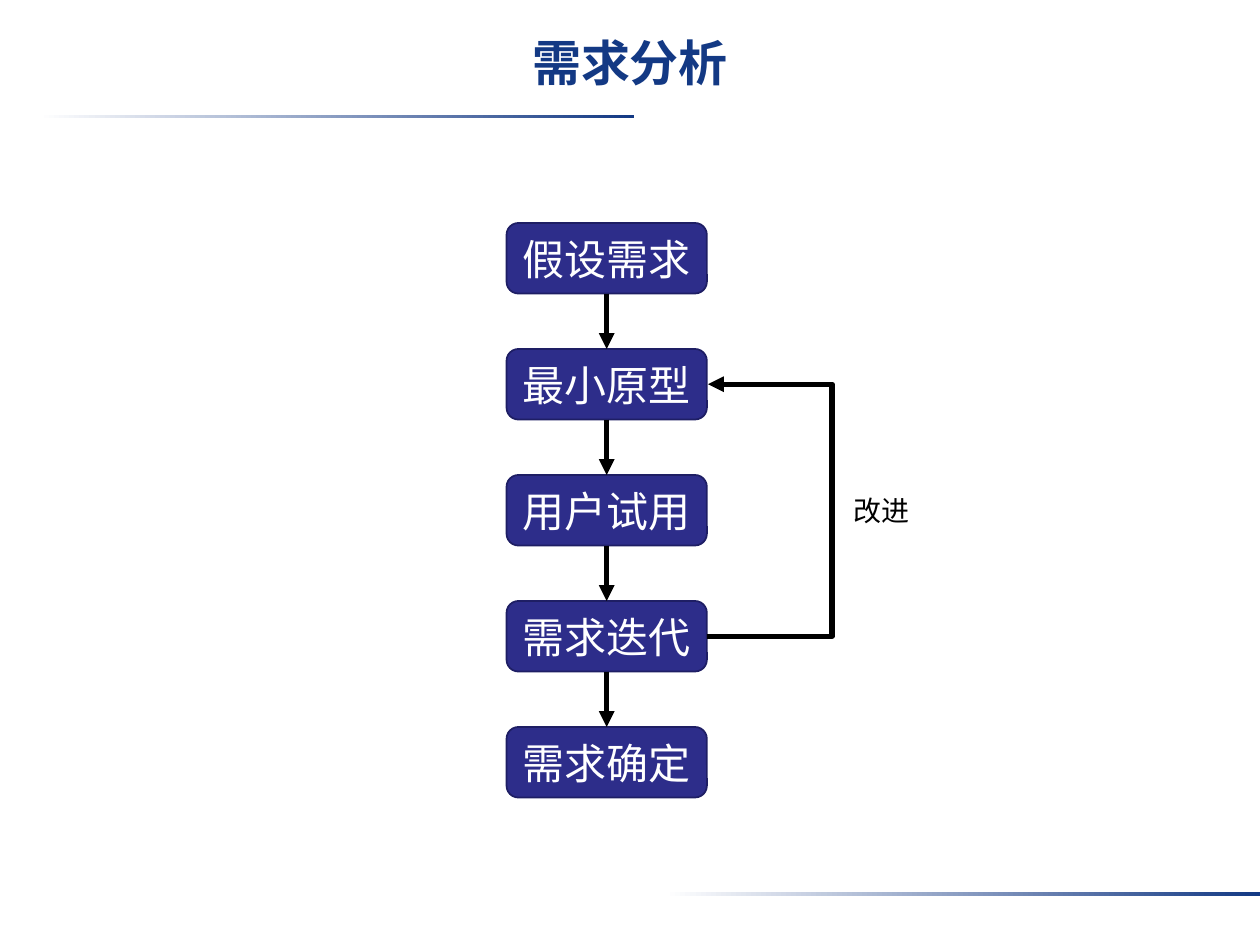
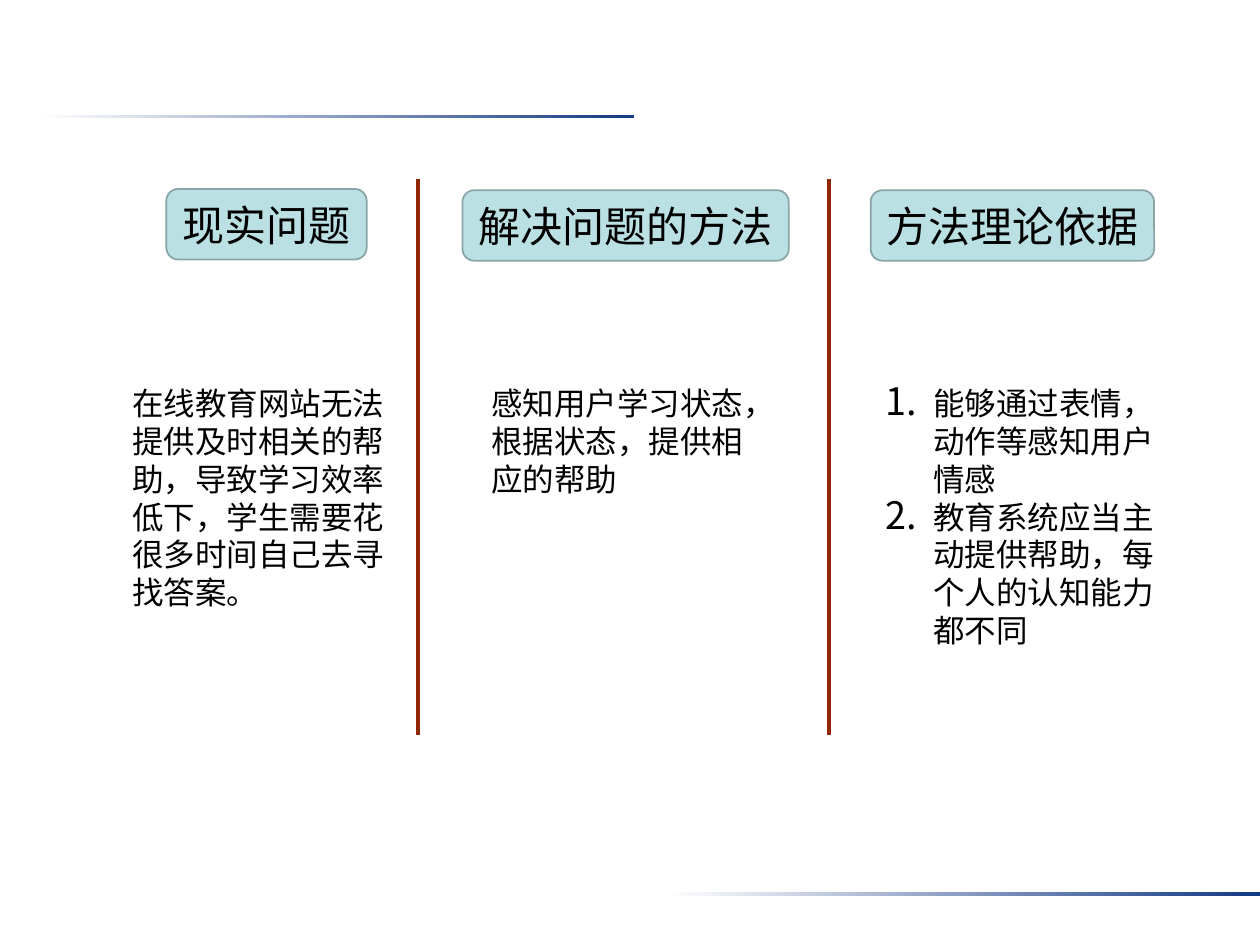
from lxml import etree
from pptx import Presentation
from pptx.dml.color import RGBColor
from pptx.enum.shapes import MSO_CONNECTOR, MSO_SHAPE
from pptx.enum.text import MSO_ANCHOR, PP_ALIGN
from pptx.oxml.ns import qn
from pptx.util import Emu, Pt

STRAIGHT, ELBOW = MSO_CONNECTOR.STRAIGHT, MSO_CONNECTOR.ELBOW
RECT, ROUND = MSO_SHAPE.RECTANGLE, MSO_SHAPE.ROUNDED_RECTANGLE
LEFT, CENTER = PP_ALIGN.LEFT, PP_ALIGN.CENTER
TOP, MIDDLE = MSO_ANCHOR.TOP, MSO_ANCHOR.MIDDLE

PX = 9144  # 100 px to the inch
FONT = "Arial"
COLORS = {
    "white": "FFFFFF", "black": "000000", "title": "133984",
    "step": "2D2D8A", "step_edge": "1E1E64",
    "head": "BBE0E3", "head_edge": "89A4A7", "divider": "922706",
}
TITLE_ONLY, BLANK = 5, 6


def px(*lengths):
    return [Emu(n * PX) for n in lengths]


def rgb(name):
    return RGBColor.from_string(COLORS[name])


class Deck:
    def __init__(self):
        self.prs = Presentation()
        self.prs.slide_width, self.prs.slide_height = px(1000, 750)
        self.slide = None

    def new_slide(self, layout):
        self.slide = self.prs.slides.add_slide(self.prs.slide_layouts[layout])

    def master_band(self, x, y, w, h):
        """Draw a fading band and move it to the slide master."""
        s = self.slide.shapes.add_shape(RECT, *px(x, y, w, h))
        s.shadow.inherit = False
        s.line.fill.background()
        s.fill.gradient()
        s.fill.gradient_angle = 0
        for stop, position, color in zip(s.fill.gradient_stops, (0, 1), ("white", "title")):
            stop.position = position
            stop.color.rgb = rgb(color)
        self.prs.slide_master.shapes._spTree.append(s._element)

    def set_text(self, tf, paragraphs, size, color="black", align=LEFT,
                 anchor=TOP, bold=False, numbered=False):
        tf.vertical_anchor = anchor
        tf.margin_left, tf.margin_right, tf.margin_top, tf.margin_bottom = px(10, 10, 5, 5)
        tf.text = "\n".join(paragraphs)
        for p in tf.paragraphs:
            p.alignment = align
            if numbered:
                self.number(p)
            for r in p.runs:
                r.font.name, r.font.size, r.font.bold = FONT, Pt(size), bold
                r.font.color.rgb = rgb(color)

    def number(self, p):
        indent, = px(38)
        pPr = p._p.get_or_add_pPr()
        pPr.set("marL", str(indent))
        pPr.set("indent", str(-indent))
        clr = etree.SubElement(pPr, qn("a:buClr"))
        etree.SubElement(clr, qn("a:srgbClr"), val=COLORS["black"])
        etree.SubElement(pPr, qn("a:buSzPct"), val="120000")
        etree.SubElement(pPr, qn("a:buAutoNum"), type="arabicPeriod")

    def title(self, text):
        s = self.slide.shapes.title
        s.left, s.top, s.width, s.height = px(0, 20, 1000, 75)
        self.set_text(s.text_frame, [text], 28, "title", CENTER, bold=True)
        s.text_frame.margin_top, = px(6)

    def box(self, text, x, y, w, h, fill, edge, color):
        s = self.slide.shapes.add_shape(ROUND, *px(x, y, w, h))
        s.shadow.inherit = False
        s.fill.solid()
        s.fill.fore_color.rgb = rgb(fill)
        s.line.color.rgb = rgb(edge)
        s.line.width = Pt(1)
        s.text_frame.word_wrap = False
        self.set_text(s.text_frame, [text], 24, color, CENTER, MIDDLE)
        return s

    def text(self, paragraphs, x, y, w, h, size=18, **style):
        s = self.slide.shapes.add_textbox(*px(x, y, w, h))
        s.text_frame.word_wrap = True
        self.set_text(s.text_frame, paragraphs, size, **style)

    def line(self, x1, y1, x2, y2, color="black", width=3, kind=STRAIGHT, arrow=False):
        c = self.slide.shapes.add_connector(kind, *px(x1, y1, x2, y2))
        c.line.color.rgb = rgb(color)
        c.line.width = Pt(width)
        spPr = c._element.spPr
        if arrow:
            etree.SubElement(spPr.find(qn("a:ln")), qn("a:tailEnd"), type="triangle")
        etree.SubElement(spPr, qn("a:effectLst"))
        return c

    def arrow_down(self, upper, lower):
        c = self.line(0, 0, 0, 1, arrow=True)
        c.begin_connect(upper, 2)
        c.end_connect(lower, 0)

    def loop_back(self, x, y1, y2, reach):
        """Elbow arrow that leaves and returns on the right-hand side."""
        c = self.line(x, y1, x + 1, y2, kind=ELBOW, arrow=True)
        guides = c._element.spPr.find(qn("a:prstGeom")).get_or_add_avLst()
        etree.SubElement(guides, qn("a:gd"), name="adj1", fmla=f"val {reach * 100000}")


def flow_slide(deck):
    deck.title("需求分析")

    # Steps, one below the other
    x, top, w, h, pitch = 402, 177, 159, 56, 100
    names = ["假设需求", "最小原型", "用户试用", "需求迭代", "需求确定"]
    steps = [deck.box(name, x, top + i * pitch, w, h, "step", "step_edge", "white")
             for i, name in enumerate(names)]
    for upper, lower in zip(steps, steps[1:]):
        deck.arrow_down(upper, lower)

    # Improvement loop from the iteration back to the prototype
    middle = top + h // 2
    deck.loop_back(x + w, middle + 3 * pitch, middle + pitch, 101)
    deck.text(["改进"], 667, 387, 65, 37, size=16, align=CENTER)


def columns_slide(deck):
    # Column headings
    for name, x, y, w in [("现实问题", 132, 150, 159),
                          ("解决问题的方法", 367, 151, 259),
                          ("方法理论依据", 691, 151, 225)]:
        deck.box(name, x, y, w, 56, "head", "head_edge", "black")

    # Column texts
    top, w = 300, 233
    deck.text(["在线教育网站无法提供及时相关的帮助，导致学习效率低下，学生需要花很多时间自己去寻找答案。"],
              95, top, w, 190)
    deck.text(["感知用户学习状态，根据状态，提供相应的帮助"], 380, top, w, 100)
    deck.text(["能够通过表情，动作等感知用户情感",
               "教育系统应当主动提供帮助，每个人的认知能力都不同"],
              693, top, w, 220, numbered=True)

    # Dividers
    for x in (332, 658):
        deck.line(x, 142, x, 583, "divider", 2.25)


def main():
    deck = Deck()
    deck.new_slide(TITLE_ONLY)
    deck.master_band(31, 91, 472, 3)
    deck.master_band(528, 708, 472, 3)
    flow_slide(deck)
    deck.new_slide(BLANK)
    columns_slide(deck)
    deck.prs.save("out.pptx")


if __name__ == "__main__":
    main()
